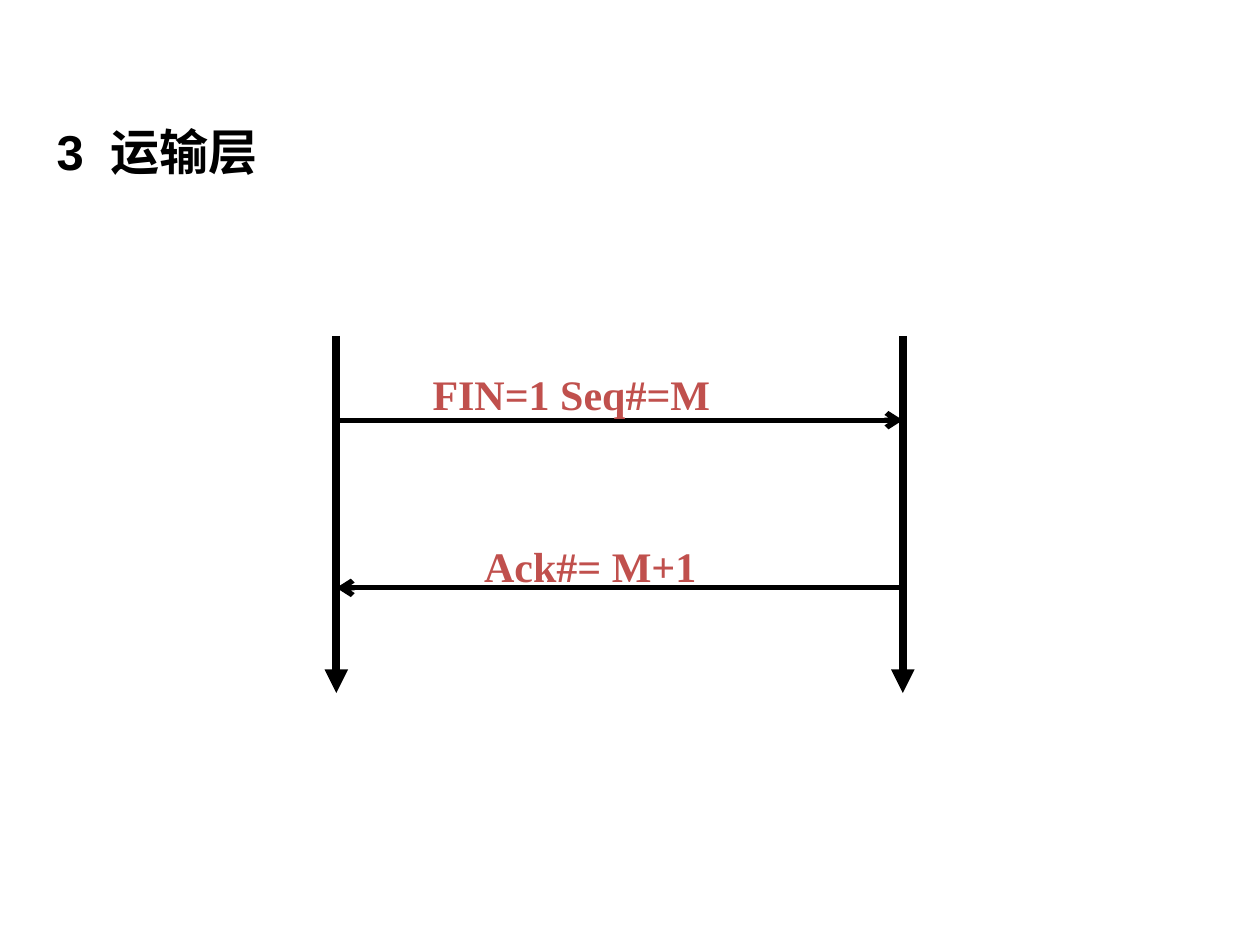
from dataclasses import dataclass

from lxml import etree
from pptx import Presentation
from pptx.dml.color import RGBColor
from pptx.enum.shapes import MSO_CONNECTOR
from pptx.enum.text import MSO_ANCHOR
from pptx.oxml.ns import qn
from pptx.util import Cm, Pt

STRAIGHT = MSO_CONNECTOR.STRAIGHT
TOP = MSO_ANCHOR.TOP
BLACK = "000000"
RED = "C0504D"

# Sequence diagram geometry, in cm
CLIENT_X, SERVER_X = 6.78, 18.2
TIME_START, TIME_END = 6.77, 13.97
FIN_Y, ACK_Y = 8.47, 11.85


@dataclass
class Arrow:
    x1: float
    y1: float
    x2: float
    y2: float
    weight: float
    end: str  # "headEnd" or "tailEnd"
    style: str


@dataclass
class Label:
    text: str
    left: float
    top: float
    width: float
    height: float
    size: int
    font: str
    color: str
    inset_top: float


def rgb(value: str) -> RGBColor:
    return RGBColor.from_string(value)


def draw_arrow(slide, arrow: Arrow) -> None:
    line = slide.shapes.add_connector(
        STRAIGHT, Cm(arrow.x1), Cm(arrow.y1), Cm(arrow.x2), Cm(arrow.y2))
    line.line.color.rgb = rgb(BLACK)
    line.line.width = Pt(arrow.weight)
    outline = line.line._get_or_add_ln()
    etree.SubElement(outline, qn(f"a:{arrow.end}"), type=arrow.style)
    etree.SubElement(line._element.spPr, qn("a:effectLst"))


def draw_label(slide, label: Label):
    box = slide.shapes.add_textbox(
        Cm(label.left), Cm(label.top), Cm(label.width), Cm(label.height))
    frame = box.text_frame
    frame.word_wrap = True
    frame.vertical_anchor = TOP
    frame.margin_top = Cm(label.inset_top)
    frame.text = label.text
    font = frame.paragraphs[0].runs[0].font
    font.name = label.font
    font.size = Pt(label.size)
    font.bold = True
    font.color.rgb = rgb(label.color)
    return frame.paragraphs[0]


def add_tab_stop(paragraph, position: float) -> None:
    stops = etree.SubElement(paragraph._p.get_or_add_pPr(), qn("a:tabLst"))
    etree.SubElement(stops, qn("a:tab"), pos=str(Cm(position)), algn="l")


def main() -> None:
    deck = Presentation()
    deck.slide_width, deck.slide_height = Cm(25.4), Cm(19.05)
    slide = deck.slides.add_slide(deck.slide_layouts[6])

    # Heading, its number set apart by a tab stop
    heading = draw_label(slide, Label(
        "3\t运输层", 0.89, 2.31, 7.59, 1.45, 28, "Arial", BLACK, 0.13))
    add_tab_stop(heading, 1.09)

    # Time axes of both hosts
    for x in (CLIENT_X, SERVER_X):
        draw_arrow(slide, Arrow(
            x, TIME_START, x, TIME_END, 4.5, "tailEnd", "triangle"))

    # Messages between the hosts
    for y, end in ((FIN_Y, "tailEnd"), (ACK_Y, "headEnd")):
        draw_arrow(slide, Arrow(CLIENT_X, y, SERVER_X, y, 3, end, "arrow"))

    # Message labels
    for text, left, top, width in (
        ("FIN=1 Seq#=M", 8.47, 7.2, 8.26),
        ("Ack#= M+1", 9.51, 10.67, 5.2),
    ):
        draw_label(slide, Label(
            text, left, top, width, 1.27, 24, "Times New Roman", RED, 0.22))

    deck.save("out.pptx")


if __name__ == "__main__":
    main()
